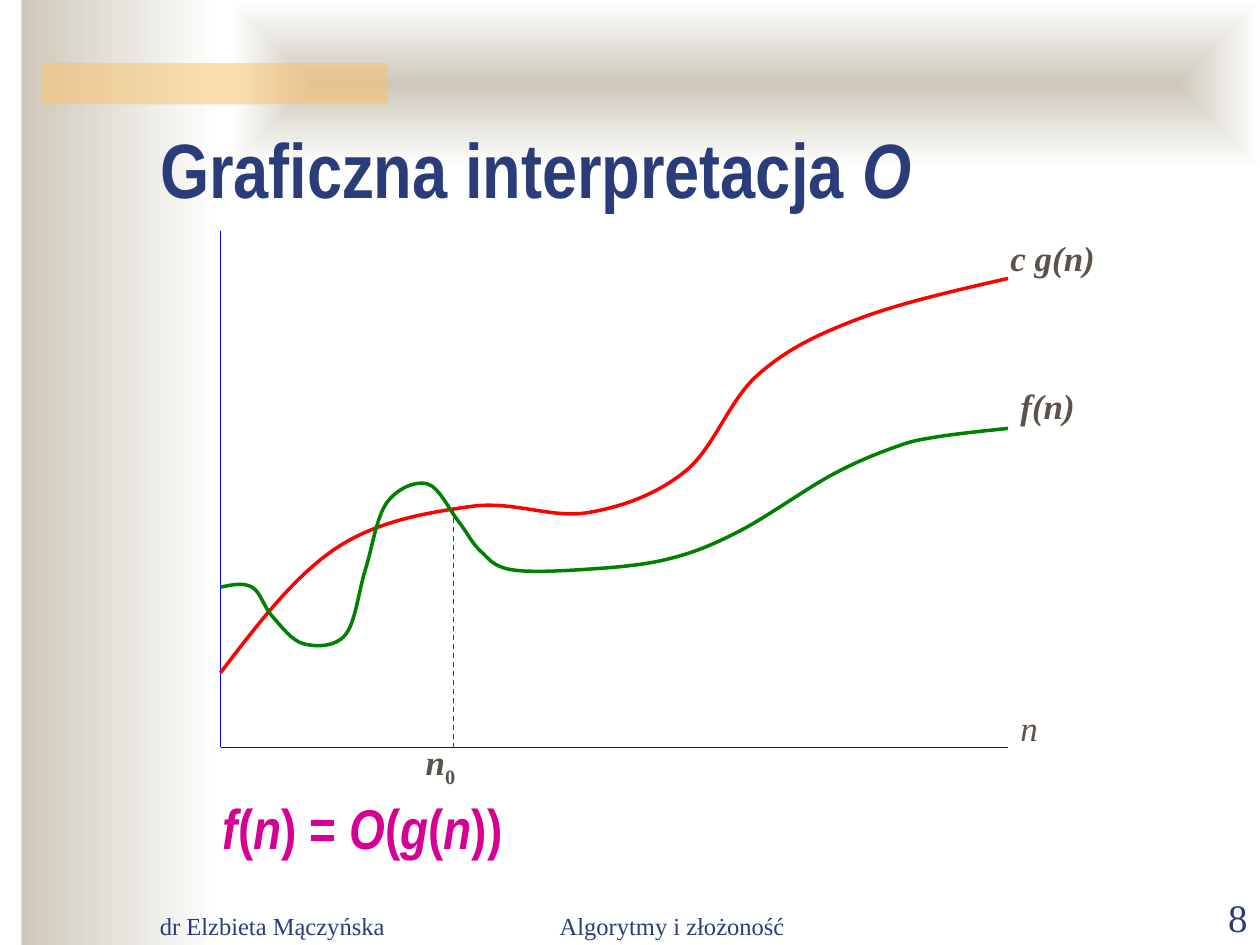
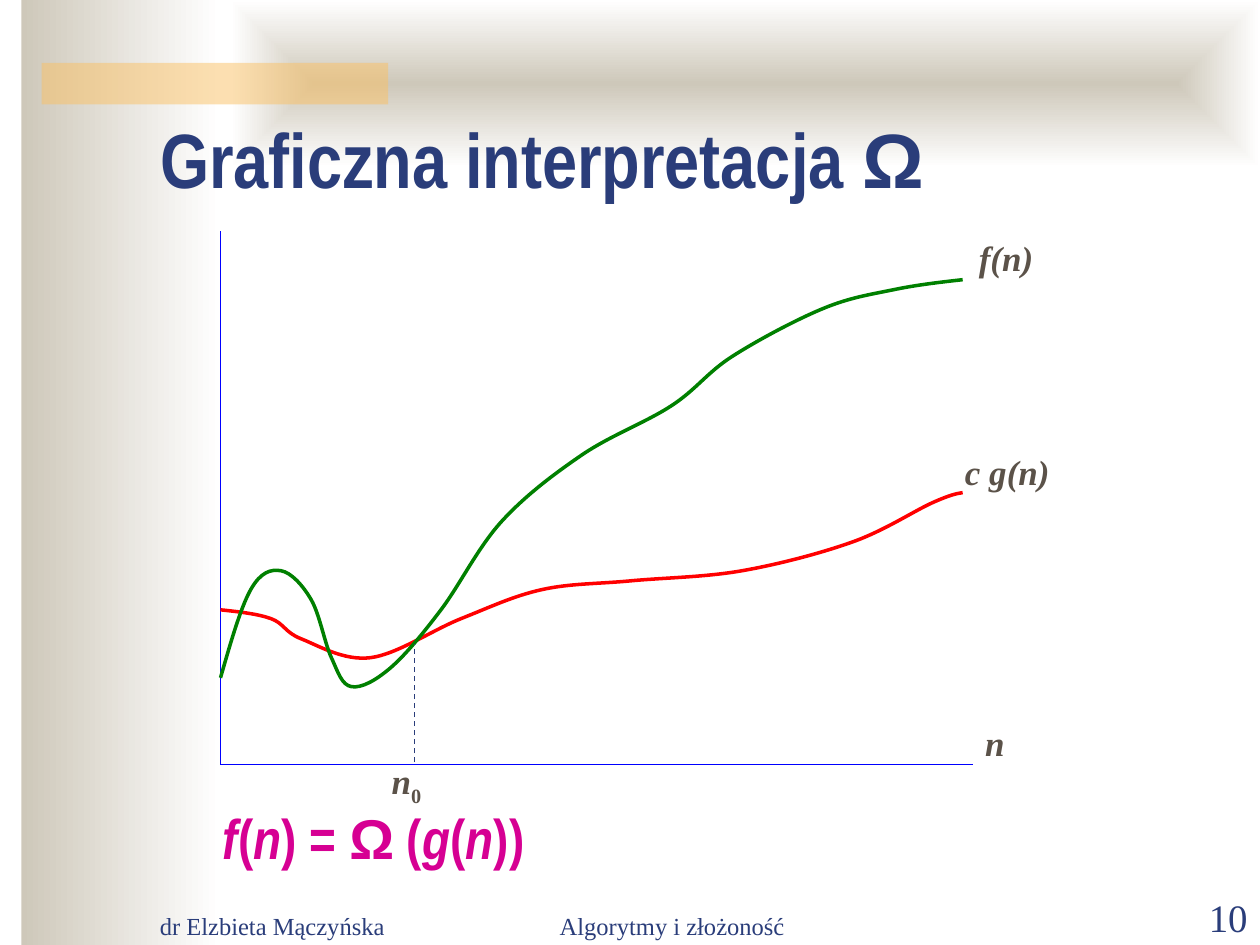
from dataclasses import dataclass
from itertools import groupby

from pptx import Presentation
from pptx.dml.color import RGBColor
from pptx.enum.dml import MSO_LINE
from pptx.enum.shapes import MSO_CONNECTOR, MSO_SHAPE
from pptx.enum.text import MSO_ANCHOR, MSO_AUTO_SIZE, PP_ALIGN
from pptx.oxml.ns import qn
from pptx.oxml.xmlchemy import OxmlElement
from pptx.util import Inches, Pt

COLORS = {
    "navy": "2A3D7A", "taupe": "5B5249", "magenta": "D60093",
    "sand": "CEC8BA", "white": "FFFFFF", "gold": "FAC164",
    "axis": "0000FF", "red": "FF0000", "green": "008000",
}
SERIF, NARROW, SANS = "Times New Roman", "Arial Narrow", "Arial"

TITLE = {"size": Pt(44), "name": NARROW, "bold": True}
FORMULA = {"size": Pt(32), "name": NARROW, "bold": True}
LABEL = {"size": Pt(20), "name": SERIF, "bold": True, "italic": True}
FOOTER = {"size": Pt(14), "name": SERIF}
NUMBER = {"size": Pt(22.2), "name": SERIF}

Point = tuple[float, float]
Box = tuple[float, float, float, float]


@dataclass
class Run:
    text: str
    italic: bool | None = None
    font: str | None = None
    subscript: bool = False


@dataclass
class Label:
    box: Box
    runs: list[Run]


@dataclass
class Curve:
    color: str
    knots: list[Point]


@dataclass
class GrowthSlide:
    number: int
    symbol: str
    title_height: float
    formula: str
    formula_top: float
    origin: Point
    axis_right: float
    threshold: tuple[Point, Point]
    curves: list[Curve]
    labels: list[Label]


AXIS_TOP = 1.83
N0 = [Run("n"), Run("0", italic=False, subscript=True)]

SLIDES = [
    GrowthSlide(
        8, "O", 0.83, "f(n) = O(g(n))", 6.25, (1.75, 5.93), 8,
        ((3.6, 5.94), (3.6, 4.04)),
        [
            Curve("red", [(1.75, 5.34), (2.67, 4.35), (3.74, 4.02), (4.66, 4.07),
                          (5.44, 3.74), (6.01, 2.98), (6.79, 2.54), (8, 2.21)]),
            Curve("green", [(1.75, 4.66), (2, 4.66), (2.16, 4.89), (2.41, 5.11),
                            (2.74, 5.04), (2.9, 4.52), (3.07, 3.99), (3.39, 3.84),
                            (3.64, 4.14), (3.81, 4.37), (4.05, 4.52), (4.63, 4.52),
                            (5.29, 4.44), (5.86, 4.22), (6.6, 3.77), (7.1, 3.55),
                            (7.42, 3.47), (8, 3.4)]),
        ],
        [
            Label((7.92, 1.83, 1.33, 0.67), [Run("c g(n)")]),
            Label((8, 3, 1.08, 0.67), [Run("f(n)")]),
            Label((8, 5.56, 0.75, 0.67), [Run("n")]),
            Label((3.28, 5.83, 0.74, 0.59), N0),
        ],
    ),
    GrowthSlide(
        10, "Ω", 0.75, "f(n) = Ω (g(n))", 6.33, (1.75, 6.07), 7.72,
        ((3.29, 6.05), (3.29, 5.11)),
        [
            Curve("red", [(1.75, 4.84), (2.15, 4.91), (2.39, 5.07), (2.94, 5.22),
                          (3.66, 4.91), (4.3, 4.68), (5.01, 4.61), (5.89, 4.53),
                          (6.77, 4.3), (7.4, 3.99), (7.64, 3.91)]),
            Curve("green", [(1.75, 5.38), (1.99, 4.68), (2.23, 4.53), (2.47, 4.76),
                            (2.63, 5.22), (2.79, 5.45), (3.1, 5.3), (3.5, 4.84),
                            (3.98, 4.14), (4.62, 3.61), (5.33, 3.22), (5.81, 2.83),
                            (6.53, 2.45), (7.09, 2.3), (7.64, 2.22)]),
        ],
        [
            Label((7.56, 3.53, 1.35, 0.69), [Run("c g(n)")]),
            Label((7.67, 1.83, 1.04, 0.69), [Run("f(n)")]),
            Label((7.72, 5.68, 0.72, 0.69), [Run("n")]),
            Label((3.01, 5.98, 0.7, 0.61), N0),
        ],
    ),
]


def rgb(name: str) -> RGBColor:
    return RGBColor.from_string(COLORS[name])


def inches(values) -> list[int]:
    return [Inches(v) for v in values]


# Text
def symbol_run(symbol: str) -> Run:
    return Run(symbol, False, SANS) if symbol == "Ω" else Run(symbol, True)


def formula_runs(formula: str) -> list[Run]:
    """Letters are italic, brackets and signs upright."""
    parts = [(is_name, "".join(g)) for is_name, g in groupby(formula, str.isalpha)]
    return [symbol_run(t) if is_name else Run(t, False) for is_name, t in parts]


def write(tf, runs: list[Run], style: dict, color: str, align=PP_ALIGN.LEFT) -> None:
    p = tf.paragraphs[0]
    p.alignment = align
    for run in runs:
        r = p.add_run()
        r.text = run.text
        own = {"italic": run.italic, "name": run.font}
        changes = {k: v for k, v in own.items() if v is not None}
        for key, value in (style | changes).items():
            setattr(r.font, key, value)
        r.font.color.rgb = rgb(color)
        if run.subscript:
            r._r.get_or_add_rPr().set("baseline", "-25000")


def add_text(s, box: Box, runs: list[Run], style: dict, color: str,
             align=PP_ALIGN.LEFT, anchor=MSO_ANCHOR.TOP):
    tf = s.shapes.add_textbox(*inches(box)).text_frame
    tf.word_wrap = True
    tf.vertical_anchor = anchor
    write(tf, runs, style, color, align)
    return tf


# Lines and curves
def add_line(s, start: Point, end: Point, color: str, dash=None) -> None:
    line = s.shapes.add_connector(MSO_CONNECTOR.STRAIGHT, *inches(start + end))
    line.line.color.rgb = rgb(color)
    line.line.width = Pt(0.75)
    if dash:
        line.line.dash_style = dash
    line.element.spPr.append(OxmlElement("a:effectLst"))


def bezier_points(knots: list[Point]) -> list[Point]:
    """Two control points and an end for each piece of a smooth curve."""
    def shift(i: int, sign: int) -> Point:
        return tuple(k + sign * (b - a) / 6
                     for a, k, b in zip(knots[i - 1], knots[i], knots[i + 1]))

    def middle(a: Point, b: Point) -> Point:
        return (a[0] + b[0]) / 2, (a[1] + b[1]) / 2

    points, last = [], len(knots) - 1
    for i in range(last):
        leave = shift(i, 1) if i else middle(knots[0], shift(1, -1))
        arrive = shift(i + 1, -1) if i + 1 < last else middle(leave, knots[last])
        points += [leave, arrive, knots[i + 1]]
    return points


def add_curve(s, curve: Curve) -> None:
    fb = s.shapes.build_freeform(*inches(curve.knots[0]))
    fb.add_line_segments([inches(pt) for pt in bezier_points(curve.knots)], close=False)
    shape = fb.convert_to_shape()
    # Every three points become one cubic piece
    segments = list(shape.element.iter(qn("a:lnTo")))
    for i in range(0, len(segments), 3):
        cubic = OxmlElement("a:cubicBezTo")
        segments[i].addprevious(cubic)
        for segment in segments[i:i + 3]:
            cubic.append(segment[0])
            segment.getparent().remove(segment)
    shape.fill.background()
    shape.line.color.rgb = rgb(curve.color)
    shape.line.width = Pt(2)
    shape.shadow.inherit = False


# Shared background
def add_band(s, box: Box):
    band = s.shapes.add_shape(MSO_SHAPE.RECTANGLE, *inches(box))
    band.line.fill.background()
    band.shadow.inherit = False
    return band


def add_gradient_band(s, box: Box):
    band = add_band(s, box)
    band.fill.gradient()
    band.fill.gradient_angle = 0
    for stop, color, position in zip(band.fill.gradient_stops, ("sand", "white"), (0, 1)):
        stop.color.rgb = rgb(color)
        stop.position = position
    return band


def decorate_layout(s, layout) -> None:
    side = add_gradient_band(s, (0.17, 0, 1.58, 7.5))
    top = add_gradient_band(s, (1.83, 0, 8.17, 1.33))
    lin = next(top.element.iter(qn("a:lin")))
    radial, center = OxmlElement("a:path"), OxmlElement("a:fillToRect")
    radial.set("path", "rect")
    for edge in "ltrb":
        center.set(edge, "50000")
    radial.append(center)
    lin.getparent().replace(lin, radial)

    accent = add_band(s, (0.33, 0.5, 2.75, 0.33))
    accent.fill.solid()
    accent.fill.fore_color.rgb = rgb("gold")
    alpha = OxmlElement("a:alpha")
    alpha.set("val", "50000")
    next(accent.element.iter(qn("a:srgbClr"))).append(alpha)

    for i, band in enumerate((side, top, accent)):
        layout.shapes.element.insert(2 + i, band.element)


def add_footers(s, number: int) -> None:
    for left, width, text, style, align in (
        (1.17, 2.08, "dr Elzbieta Mączyńska", FOOTER, PP_ALIGN.LEFT),
        (3.75, 3.17, "Algorytmy i złożoność", FOOTER, PP_ALIGN.CENTER),
        (9, 1, str(number), NUMBER, PP_ALIGN.RIGHT),
    ):
        add_text(s, (left, 7.01, width, 0.5), [Run(text)], style, "navy",
                 align, MSO_ANCHOR.BOTTOM)


def add_title(s, symbol: str, height: float) -> None:
    title = s.shapes.title
    title.left, title.top, title.width, title.height = inches((1.17, 0.92, 8.5, height))
    tf = title.text_frame
    tf.auto_size = MSO_AUTO_SIZE.NONE
    tf.vertical_anchor = MSO_ANCHOR.BOTTOM
    write(tf, [Run("Graficzna interpretacja "), symbol_run(symbol)], TITLE, "navy")


def fill_slide(s, g: GrowthSlide) -> None:
    add_footers(s, g.number)
    add_title(s, g.symbol, g.title_height)
    # Axes, curves and the threshold n0
    add_line(s, g.origin, (g.origin[0], AXIS_TOP), "axis")
    add_line(s, g.origin, (g.axis_right, g.origin[1]), "axis")
    for curve in g.curves:
        add_curve(s, curve)
    add_line(s, *g.threshold, "navy", MSO_LINE.DASH)
    # Labels and formula
    for label in g.labels:
        # The axis name on the first chart is not bold
        light = g.symbol == "O" and label.runs == [Run("n")]
        add_text(s, label.box, label.runs, LABEL | {"bold": not light}, "taupe")
    tf = add_text(s, (1.67, g.formula_top, 3.75, 0.64), formula_runs(g.formula),
                  FORMULA, "magenta")
    tf.auto_size = MSO_AUTO_SIZE.SHAPE_TO_FIT_TEXT


def main() -> None:
    prs = Presentation()
    prs.slide_width, prs.slide_height = Inches(10), Inches(7.5)
    layout = prs.slide_layouts[5]
    for i, growth in enumerate(SLIDES):
        s = prs.slides.add_slide(layout)
        if i == 0:
            decorate_layout(s, layout)
        fill_slide(s, growth)
    prs.save("out.pptx")


if __name__ == "__main__":
    main()
